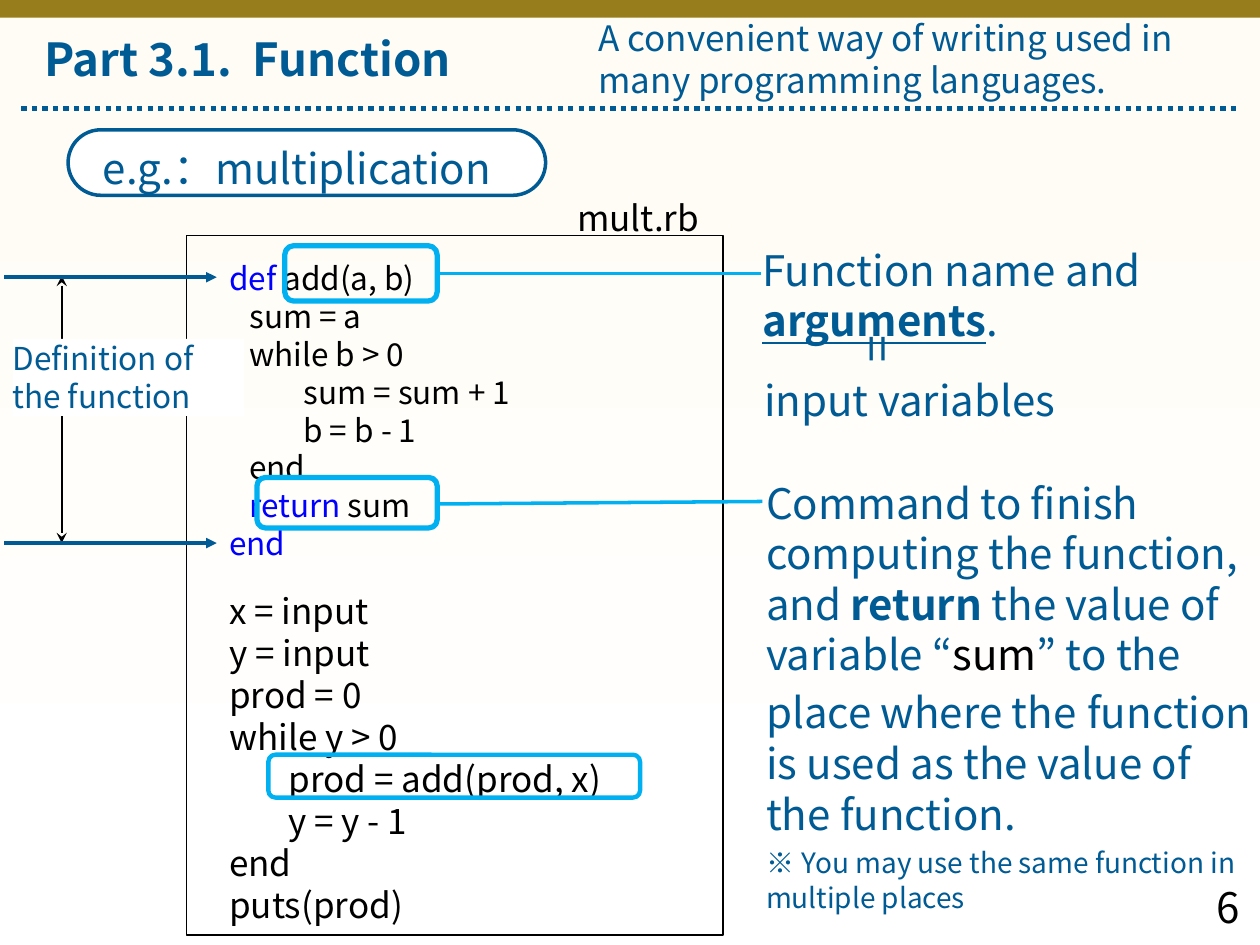
"""Build the slide that explains a function definition with a multiplication example."""
from pptx import Presentation
from pptx.dml.color import RGBColor
from pptx.enum.dml import MSO_LINE
from pptx.enum.shapes import MSO_CONNECTOR, MSO_SHAPE
from pptx.enum.text import MSO_ANCHOR, PP_ALIGN
from pptx.oxml.ns import qn
from pptx.util import Inches, Pt
from lxml.etree import SubElement

FONT = "Noto Sans CJK JP"
BLUE = RGBColor(0x00, 0x5B, 0x94)
SKY = RGBColor(0x00, 0xB0, 0xF0)
KEYWORD = RGBColor(0x00, 0x00, 0xFF)
BLACK = RGBColor(0x00, 0x00, 0x00)
WHITE = RGBColor(0xFF, 0xFF, 0xFF)
CREAM = RGBColor(0xFF, 0xFC, 0xF5)
GOLD = RGBColor(0x98, 0x7D, 0x1C)

deck = Presentation()
deck.slide_width, deck.slide_height = Inches(10), Inches(7.5)
page = deck.slides.add_slide(deck.slide_layouts[6])


def add_box(place, paragraphs=(), size=18, color=BLUE, preset=None, fill=None,
            line=None, corner=None, insets=(0, 0, 0, 0), align=PP_ALIGN.LEFT):
    place = [Inches(length) for length in place]
    if preset is None:
        box = page.shapes.add_textbox(*place)
    else:
        box = page.shapes.add_shape(preset, *place)
        box.shadow.inherit = False
        if corner is not None:
            box.adjustments[0] = corner
        if fill is None:
            box.fill.background()
        else:
            box.fill.solid()
            box.fill.fore_color.rgb = fill
        if line is None:
            box.line.fill.background()
        else:
            box.line.color.rgb, box.line.width = line[0], Pt(line[1])
    frame = box.text_frame
    frame.word_wrap = True
    frame.vertical_anchor = MSO_ANCHOR.TOP
    (frame.margin_left, frame.margin_top,
     frame.margin_right, frame.margin_bottom) = [Inches(inset) for inset in insets]
    for index, (indent, runs) in enumerate(paragraphs):
        para = frame.add_paragraph() if index else frame.paragraphs[0]
        para.alignment = align
        if indent:
            para._p.get_or_add_pPr().set("marL", str(Inches(indent)))
        for text, changes in runs:
            span = para.add_run()
            span.text = text
            font = span.font
            font.name = FONT
            SubElement(font._element, qn("a:ea")).set("typeface", FONT)
            font.size = Pt(changes.get("size", size))
            font.color.rgb = changes.get("color", color)
            font.bold = changes.get("bold", False)
            font.underline = changes.get("underline", False)
    return box


def add_line(start, end, color, width, head=None, tail=None, dash=None):
    ends = [Inches(length) for length in (*start, *end)]
    line = page.shapes.add_connector(MSO_CONNECTOR.STRAIGHT, *ends)
    line.line.color.rgb, line.line.width = color, Pt(width)
    if dash:
        line.line.dash_style = dash
    for tag, kind in (("a:headEnd", head), ("a:tailEnd", tail)):
        if kind:
            SubElement(line.line._get_or_add_ln(), qn(tag)).set("type", kind)
    SubElement(line._element.spPr, qn("a:effectLst"))


PADDING = (0.1, 0.05, 0.1, 0.05)
RECT, ROUND = MSO_SHAPE.RECTANGLE, MSO_SHAPE.ROUNDED_RECTANGLE

backdrop = add_box((0, 0, 10, 7.5), preset=RECT)
backdrop.fill.gradient()
backdrop.fill.gradient_angle = 270
for stop, color, position in zip(backdrop.fill.gradient_stops, (CREAM, WHITE), (0.12, 0.9)):
    stop.color.rgb, stop.position = color, position
add_line((0.17, 0.86), (9.83, 0.86), BLUE, 3, dash=MSO_LINE.ROUND_DOT)
add_box((0, -0.01, 10, 0.15), preset=RECT, fill=GOLD)
add_box((8.4, 6.95, 1.54, 0.5), [(0, [("6", {})])], 24, BLACK,
        insets=PADDING, align=PP_ALIGN.RIGHT)

add_line((0.49, 2.19), (0.49, 4.31), BLACK, 1.25, head="stealth", tail="stealth")
add_box((0.35, 0.25, 5.53, 0.47), [(0, [("Part 3.1.  Function", {"bold": True})])], 26)
add_box((4.75, 0.13, 4.68, 0.67),
        [(0, [("A convenient way of writing used in many programming languages.", {})])], 20)

main_code = [(0, "x = input"), (0, "y = input"), (0, "prod = 0"), (0, "while y > 0"),
             (0.47, "prod = add(prod, x)"), (0.47, "y = y - 1"), (0, "end"), (0, "puts(prod)")]
add_box((1.72, 4.63, 3.62, 2.79), [(indent, [(text, {})]) for indent, text in main_code],
        20, BLACK, insets=PADDING)
file_name = add_box((4.58, 1.56, 1.01, 0.34), [(0, [("mult.rb", {})])], 20, BLACK)
file_name.text_frame.word_wrap = False
add_box((2.13, 5.99, 2.95, 0.34), preset=ROUND, line=(SKY, 2.5), corner=0.164)

blue_word = {"color": KEYWORD}
function_code = [
    (0, [("def", blue_word), (" add(a, b)", {})]),
    (0.16, [("sum = a", {})]),
    (0.16, [("while b > 0", {})]),
    (0.59, [("sum = sum + 1", {})]),
    (0.59, [("b = b - 1", {})]),
    (0.16, [("end", {})]),
    (0.16, [("return", blue_word), (" sum", {})]),
    (0, [("end", blue_word)]),
]
add_box((1.72, 2.01, 3.22, 2.52), function_code, 18, BLACK, insets=PADDING)
add_box((1.48, 1.87, 4.26, 5.55), preset=RECT, line=(BLACK, 1))
add_box((0.1, 2.69, 1.84, 0.61), [(0, [("Definition of the function", {})])],
        preset=RECT, fill=WHITE)
for height in (2.2, 4.31):
    add_line((1.72, height), (0.03, height), BLUE, 2, head="triangle")

add_box((6.05, 1.94, 3.94, 0.81),
        [(0, [("Function name and ", {}), ("arguments", {"bold": True, "underline": True}),
              (".", {})])], 24)
add_box((2.26, 1.95, 1.21, 0.44), preset=ROUND, line=(SKY, 3), corner=0.164)
add_line((3.46, 2.17), (6.04, 2.17), SKY, 2)
add_box((5.83, 2.97, 2.78, 0.4), [(0, [("input variables", {})])], 24, align=PP_ALIGN.CENTER)
equals = add_box((6.74, 2.66, 0.47, 0.34), [(0, [("=", {})])], 28, align=PP_ALIGN.CENTER)
equals.text_frame._txBody.bodyPr.set("vert", "eaVert")

return_note = [
    (0, [("Command to finish computing the function, and ", {}), ("return ", {"bold": True}),
         ("the value of variable “", {}), ("sum", {"color": BLACK}),
         ("” to the place where the", {}), (" ", {"size": 28}),
         ("function is used as the value of the function.", {})]),
    (0, [("※", {"size": 16}), (" ", {"size": 20}),
         ("You may use the same function in multiple places", {"size": 16})]),
]
add_box((6.08, 3.79, 3.91, 3.5), return_note, 24)
add_box((2.04, 3.79, 1.43, 0.4), preset=ROUND, line=(SKY, 3), corner=0.164)
add_line((3.46, 4), (6.05, 3.98), SKY, 2)
example = add_box((0.54, 1.03, 3.79, 0.52), [(0, [("e.g.：multiplication", {})])], 24,
                  preset=ROUND, fill=WHITE, line=(BLUE, 2), corner=0.5,
                  insets=(0.2, 0.08, 0, 0))
example.text_frame.vertical_anchor = MSO_ANCHOR.MIDDLE

deck.save("out.pptx")
